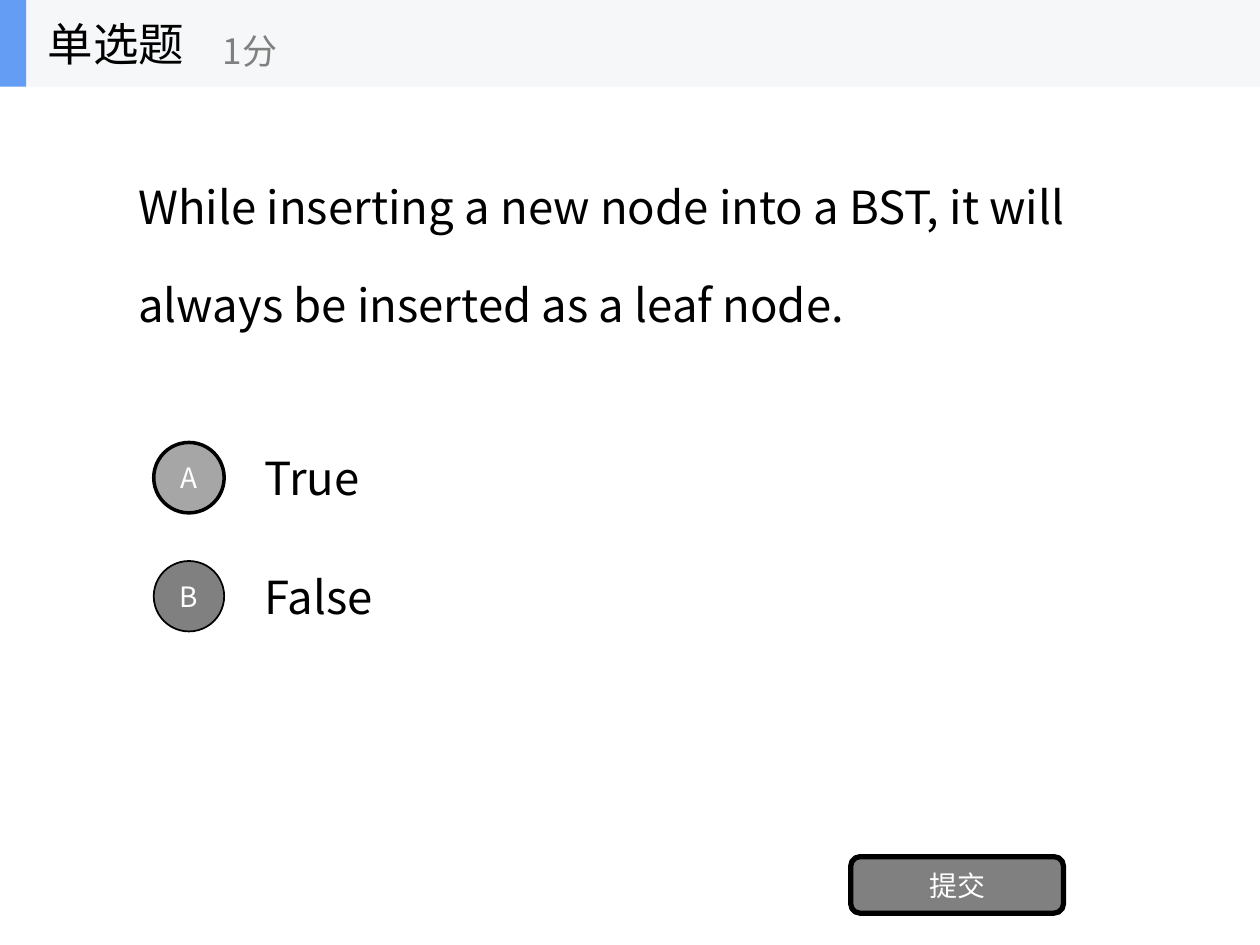
from lxml import etree
from pptx import Presentation
from pptx import util as u
from pptx.dml.color import RGBColor
from pptx.enum import shapes, text
from pptx.oxml.ns import qn

FONT = "Noto Sans CJK SC"
BLACK, WHITE, GRAY, LIGHT_GRAY = "000000", "FFFFFF", "808080", "A6A6A6"
OPTIONS = [("A", "True", LIGHT_GRAY, 2), ("B", "False", GRAY, 1)]
OPTION_TOP, OPTION_STEP = 8.74, 2.39


def color(value):
    return RGBColor.from_string(value)


def lengths(*values):
    return [u.Cm(value) for value in values]


def write(box, lines, size, ink, align=text.PP_ALIGN.LEFT, gap=0):
    frame = box.text_frame
    frame.word_wrap = True
    frame.vertical_anchor = text.MSO_ANCHOR.MIDDLE
    frame.text = "\n".join(lines)
    for index, para in enumerate(frame.paragraphs):
        para.alignment = align
        if index:
            para.space_before = u.Cm(gap)
        para.font.size = u.Pt(size)
        para.font.color.rgb = color(ink)
        para.font.name = FONT
        defaults = para._p.pPr.find(qn("a:defRPr"))
        etree.SubElement(defaults, qn("a:ea"), typeface=FONT)


def add_label(parent, place, lines, size=26, ink=BLACK, gap=0):
    box = parent.shapes.add_textbox(*lengths(*place))
    write(box, lines, size, ink, gap=gap)


def add_block(parent, kind, place, fill, border=0):
    block = parent.shapes.add_shape(kind, *lengths(*place))
    block.shadow.inherit = False
    block.fill.solid()
    block.fill.fore_color.rgb = color(fill)
    if border:
        block.line.color.rgb = color(BLACK)
        block.line.width = u.Pt(border)
    else:
        block.line.fill.background()
    return block


def add_button(page, kind, place, label, fill, border):
    button = add_block(page, kind, place, fill, border)
    write(button, [label], 16, WHITE, text.PP_ALIGN.CENTER)


def add_option(page, top, letter, answer, fill, border):
    add_label(page, (5.08, top, 17.78, 1.78), [answer])
    place = (3.1, top + 0.18, 1.42, 1.42)
    add_button(page, shapes.MSO_SHAPE.OVAL, place, letter, fill, border)


def add_header(page):
    header = page.shapes.add_group_shape()
    add_block(header, shapes.MSO_SHAPE.RECTANGLE, (0, 0, 25.4, 1.75), "F6F7F8")
    add_block(header, shapes.MSO_SHAPE.RECTANGLE, (0, 0, 0.53, 1.75), "639EF4")
    add_label(header, (0.71, 0, 5.28, 1.75), ["单选题"])
    add_label(header, (4.24, 0.3, 6.35, 1.42), ["1分"], 20, GRAY)


def main():
    deck = Presentation()
    deck.slide_width, deck.slide_height = lengths(25.4, 19.05)
    page = deck.slides.add_slide(deck.slide_layouts[6])
    question = [
        "While inserting a new node into a BST, it will",
        "always be inserted as a leaf node.",
    ]
    add_label(page, (2.54, 2.18, 20.32, 5.94), question, gap=0.87)
    for index, option in enumerate(OPTIONS):
        add_option(page, OPTION_TOP + index * OPTION_STEP, *option)
    add_button(page, shapes.MSO_SHAPE.ROUNDED_RECTANGLE,
               (17.15, 17.27, 4.29, 1.14), "提交", GRAY, 3)
    add_header(page)
    deck.save("out.pptx")


if __name__ == "__main__":
    main()
